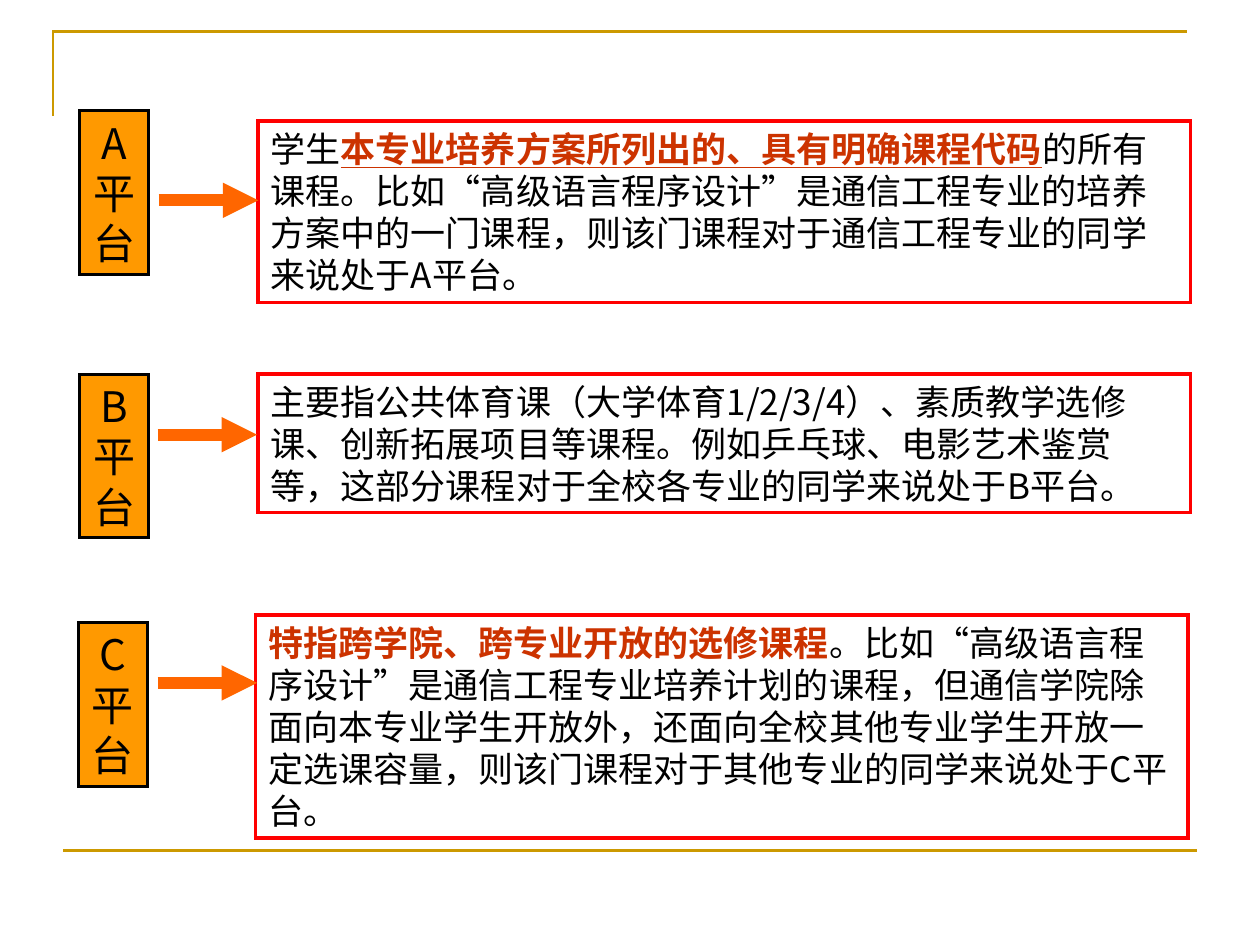
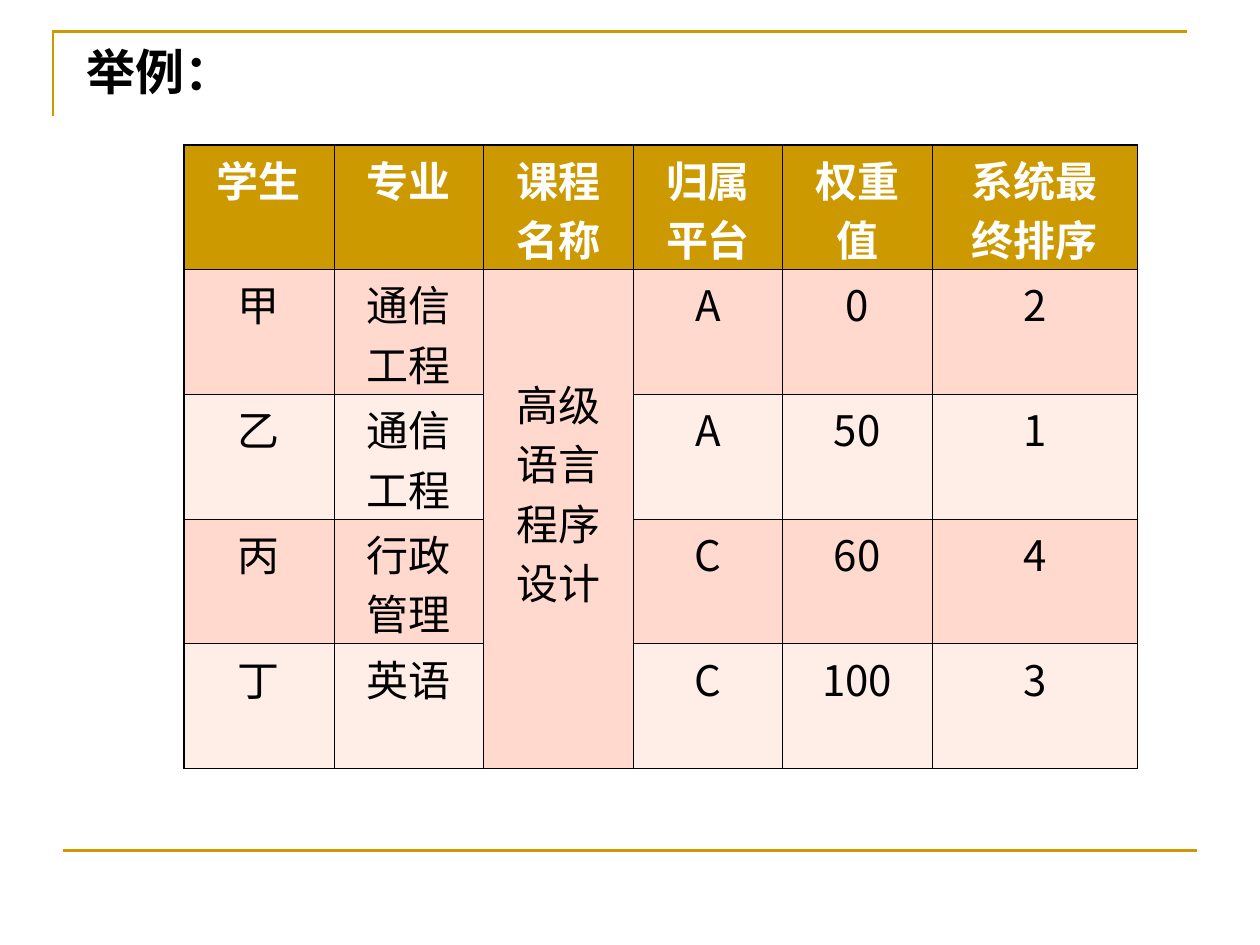
"""Build two slides on course platforms A, B and C and a worked ranking example."""
from lxml.etree import SubElement
from pptx import Presentation
from pptx.dml.color import RGBColor
from pptx.enum.shapes import MSO_CONNECTOR, MSO_SHAPE
from pptx.enum.text import MSO_ANCHOR, PP_ALIGN
from pptx.oxml.ns import qn
from pptx.util import Inches, Pt

FONT = "Noto Sans CJK SC"
BLACK = RGBColor(0x00, 0x00, 0x00)
WHITE = RGBColor(0xFF, 0xFF, 0xFF)
GOLD = RGBColor(0xCC, 0x99, 0x00)
ORANGE = RGBColor(0xFF, 0x99, 0x00)
ARROW = RGBColor(0xFF, 0x66, 0x00)
RED = RGBColor(0xFF, 0x00, 0x00)
BRICK = RGBColor(0xCC, 0x33, 0x00)
BANDS = [RGBColor(0xFF, 0xD9, 0xCE), RGBColor(0xFF, 0xED, 0xE8)]

PLAIN = {"size": Pt(20), "color": BLACK}
STRONG = {"size": Pt(20), "color": BRICK, "bold": True}
UNDERLINED = {**STRONG, "underline": True}
LABEL = {"size": Pt(24), "color": BLACK}
TITLE = {"size": Pt(28), "color": BLACK, "bold": True}
HEADER = {"size": Pt(24), "color": WHITE, "bold": True}

PLATFORMS = [
    {"label": "A平台", "label_at": (0.63, 0.88), "arrow_at": (1.26, 1.59),
     "box": (2.05, 0.96, 7.4, 1.44),
     "runs": [("学生", PLAIN),
              ("本专业培养方案所列出的、具有明确课程代码", UNDERLINED),
              ("的所有课程。比如“高级语言程序设计”是通信工程专业的培养方案中的一门课程，"
               "则该门课程对于通信工程专业的同学来说处于A平台。", PLAIN)]},
    {"label": "B平台", "label_at": (0.63, 2.97), "arrow_at": (1.25, 3.45),
     "box": (2.05, 2.97, 7.4, 1.1),
     "runs": [("主要指公共体育课（大学体育1/2/3/4）、素质教学选修课、创新拓展项目等课程。"
               "例如乒乓球、电影艺术鉴赏等，这部分课程对于全校各专业的同学来说处于B平台。", PLAIN)]},
    {"label": "C平台", "label_at": (0.62, 4.94), "arrow_at": (1.25, 5.42),
     "box": (2.03, 4.88, 7.4, 1.77),
     "runs": [("特指跨学院、跨专业开放的选修课程", STRONG),
              ("。比如“高级语言程序设计”是通信工程专业培养计划的课程，"
               "但通信学院除面向本专业学生开放外，还面向全校其他专业学生开放一定选课容量，"
               "则该门课程对于其他专业的同学来说处于C平台。", PLAIN)]},
]
LABEL_SIZE = (0.55, 1.3)
ARROW_LENGTH = 0.79

EXAMPLE_TITLE = "举例："
COURSE_COLUMN = 2
RANKING = [
    ["学生", "专业", "课程\n名称", "归属\n平台", "权重\n值", "系统最\n终排序"],
    ["甲", "通信\n工程", "高级语言程序设计", "A", "0", "2"],
    ["乙", "通信\n工程", "", "A", "50", "1"],
    ["丙", "行政\n管理", "", "C", "60", "4"],
    ["丁", "英语", "", "C", "100", "3"],
]
COLUMN_WIDTHS = [1.19, 1.19, 1.19, 1.18, 1.19, 1.63]
ROW_HEIGHT = 0.99
INNER, OUTER = Pt(0.45), Pt(1.08)


def inches(values):
    return [Inches(value) for value in values]


def add_run(paragraph, text, style):
    run = paragraph.add_run()
    run.text = text
    run.font.name = FONT
    for key, value in style.items():
        if key == "color":
            run.font.color.rgb = value
        else:
            setattr(run.font, key, value)
    SubElement(run.font._element, qn("a:ea"), typeface=FONT)


def write(shape, runs, align=PP_ALIGN.LEFT):
    frame = shape.text_frame
    settings = {"word_wrap": True, "vertical_anchor": MSO_ANCHOR.TOP,
                "margin_top": Inches(0.05), "margin_bottom": Inches(0.05)}
    for key, value in settings.items():
        setattr(frame, key, value)
    paragraph = frame.paragraphs[0]
    paragraph.alignment = align
    paragraph.line_spacing = Pt(1.2 * runs[0][1]["size"].pt)
    paragraph._p.get_or_add_pPr().set("hangingPunct", "0")
    for text, style in runs:
        add_run(paragraph, text, style)


def add_line(slide, start, end, color, width):
    line = slide.shapes.add_connector(MSO_CONNECTOR.STRAIGHT, *inches(start + end))
    line.line.color.rgb = color
    line.line.width = Pt(width)
    SubElement(line._element.spPr, qn("a:effectLst"))
    return line


def outline(shape, color, width):
    shape.shadow.inherit = False
    shape.line.color.rgb = color
    shape.line.width = Pt(width)
    SubElement(shape.line._get_or_add_ln(), qn("a:miter"), lim="800000")


def add_framed_slide(deck):
    slide = deck.slides.add_slide(deck.slide_layouts[6])
    builder = slide.shapes.build_freeform(Inches(0.42), Inches(0.92))
    builder.add_line_segments([inches((0.42, 0.25)), inches((9.42, 0.25))], close=False)
    corner = builder.convert_to_shape()
    corner.fill.background()
    outline(corner, GOLD, 1.5)
    add_line(slide, (0.5, 6.75), (9.5, 6.75), GOLD, 1.5)
    return slide


def add_box(slide, at, fill, border, width):
    box = slide.shapes.add_shape(MSO_SHAPE.RECTANGLE, *inches(at))
    if fill is None:
        box.fill.background()
    else:
        box.fill.solid()
        box.fill.fore_color.rgb = fill
    outline(box, border, width)
    return box


def add_platform(slide, platform):
    description = add_box(slide, platform["box"], None, RED, 2)
    write(description, platform["runs"])
    label = add_box(slide, platform["label_at"] + LABEL_SIZE, ORANGE, BLACK, 1.75)
    write(label, [(platform["label"], LABEL)], PP_ALIGN.CENTER)
    left, top = platform["arrow_at"]
    arrow = add_line(slide, (left, top), (left + ARROW_LENGTH, top), ARROW, 6.75)
    SubElement(arrow.line._get_or_add_ln(), qn("a:tailEnd"), type="triangle")


def set_borders(cell, widths):
    properties = cell._tc.get_or_add_tcPr()
    for side, width in widths.items():
        border = SubElement(properties, qn(f"a:ln{side}"), w=str(int(width)))
        fill = SubElement(border, qn("a:solidFill"))
        SubElement(fill, qn("a:srgbClr"), val=str(BLACK))


def fill_cell(cell, text, style, color):
    cell.fill.solid()
    cell.fill.fore_color.rgb = color
    cell.margin_top, cell.margin_bottom = Inches(0.04), 0
    frame = cell.text_frame
    for index, line in enumerate(text.split("\n") if text else []):
        paragraph = frame.add_paragraph() if index else frame.paragraphs[0]
        paragraph.alignment = PP_ALIGN.CENTER
        paragraph.line_spacing = Pt(34)
        add_run(paragraph, line, style)


def add_ranking(slide):
    rows, columns = len(RANKING), len(COLUMN_WIDTHS)
    area = inches((1.46, 1.15, sum(COLUMN_WIDTHS), rows * ROW_HEIGHT))
    table = slide.shapes.add_table(rows, columns, *area).table
    table.first_row = table.horz_banding = False
    for column, width in zip(table.columns, COLUMN_WIDTHS):
        column.width = Inches(width)
    for row in table.rows:
        row.height = Inches(ROW_HEIGHT)
    course = table.cell(1, COURSE_COLUMN)
    course.merge(table.cell(rows - 1, COURSE_COLUMN))
    for r, texts in enumerate(RANKING):
        for c, text in enumerate(texts):
            cell = table.cell(r, c)
            bottom = r + cell.span_height
            set_borders(cell, {"L": OUTER if c == 0 else INNER,
                               "R": OUTER if c == columns - 1 else INNER,
                               "T": OUTER if r == 0 else INNER,
                               "B": OUTER if bottom == rows else INNER})
            banded = 1 if c == COURSE_COLUMN else r
            color = BANDS[(banded - 1) % 2] if r else GOLD
            fill_cell(cell, text, LABEL if r else HEADER, color)
    course.vertical_anchor = MSO_ANCHOR.MIDDLE
    course.margin_bottom = Inches(0.45)


def main():
    deck = Presentation()
    deck.slide_width, deck.slide_height = Inches(10), Inches(7.5)
    platforms = add_framed_slide(deck)
    for platform in PLATFORMS:
        add_platform(platforms, platform)
    example = add_framed_slide(deck)
    heading = example.shapes.add_textbox(*inches((0.59, 0.28, 4.73, 0.57)))
    write(heading, [(EXAMPLE_TITLE, TITLE)])
    add_ranking(example)
    deck.save("out.pptx")


if __name__ == "__main__":
    main()
